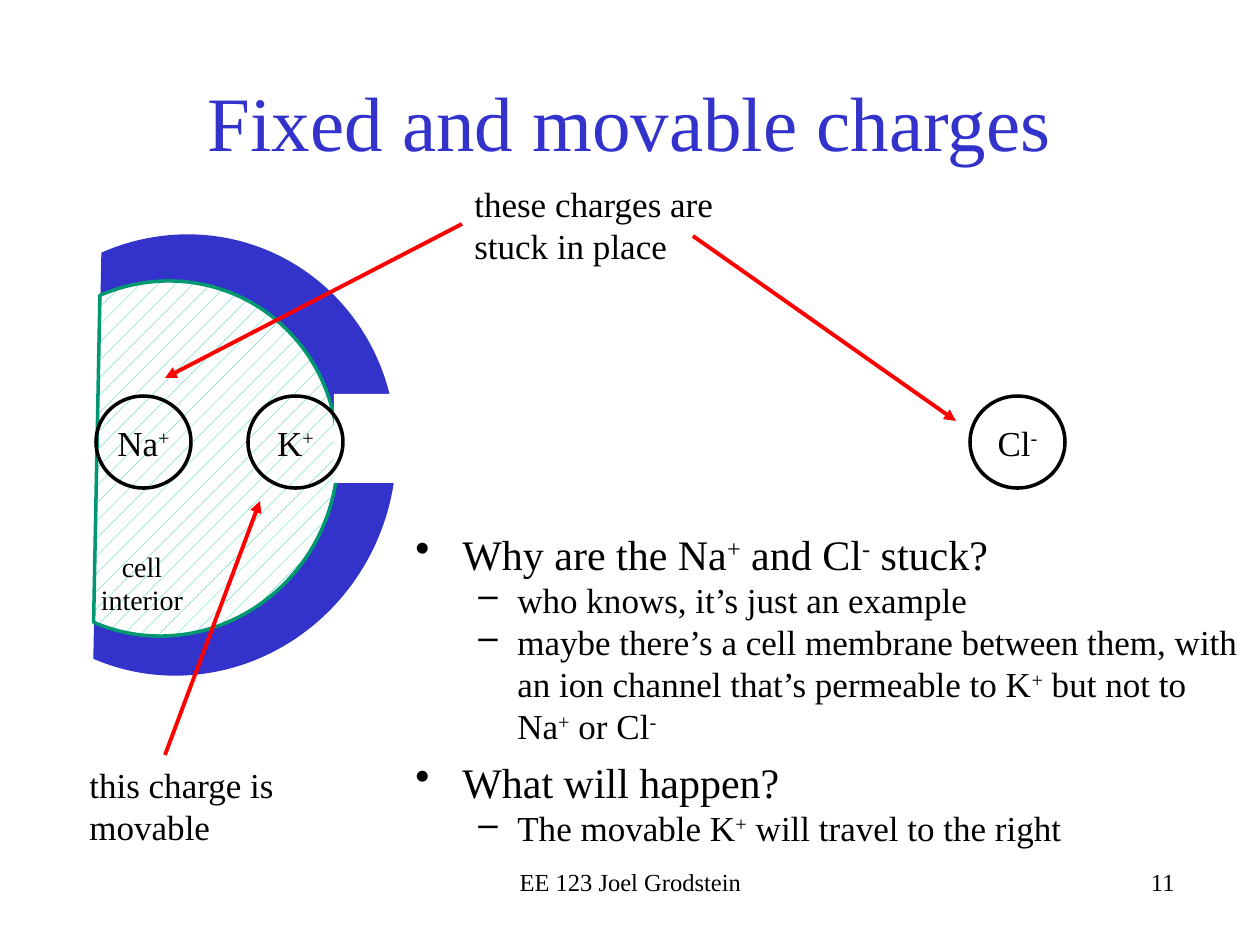
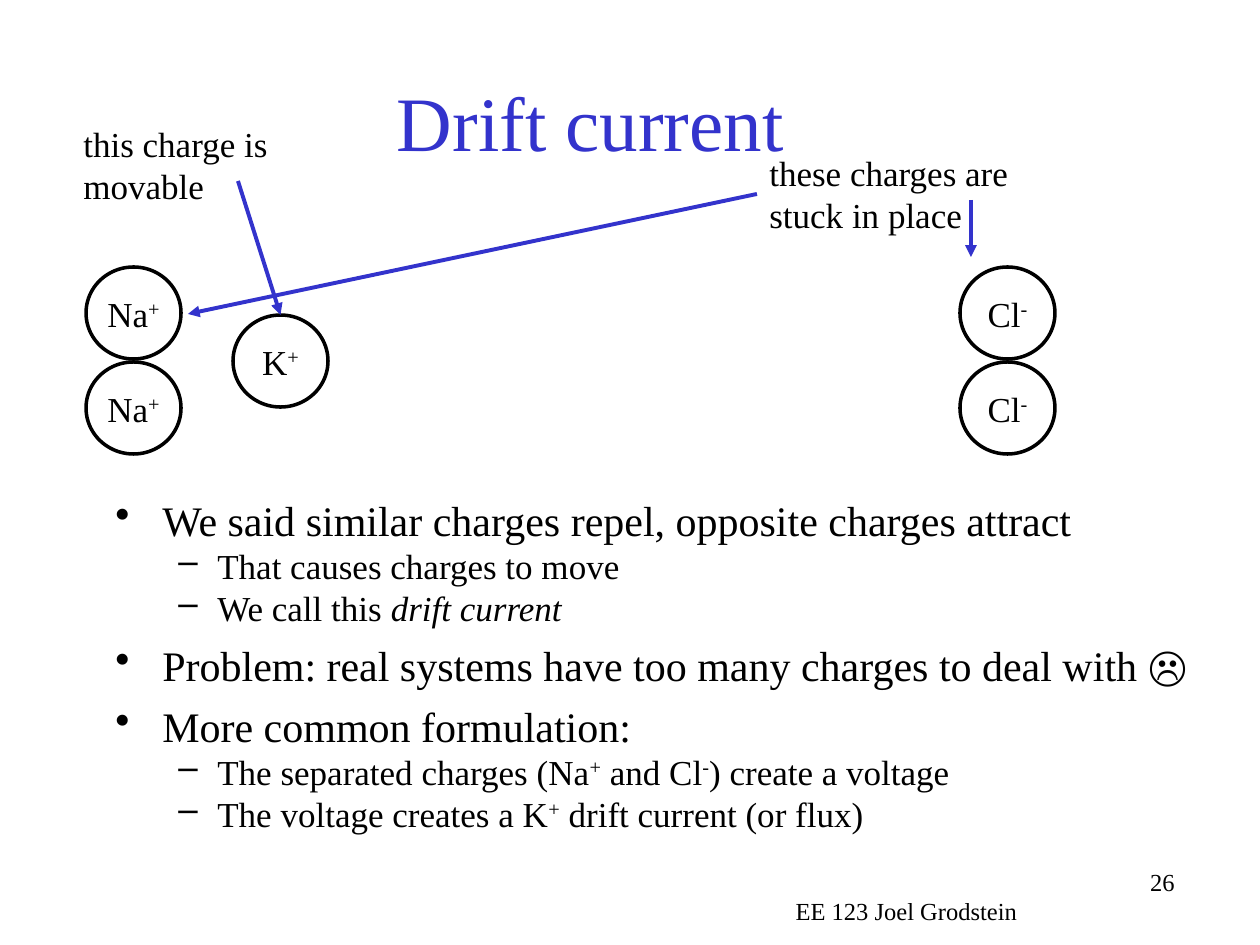
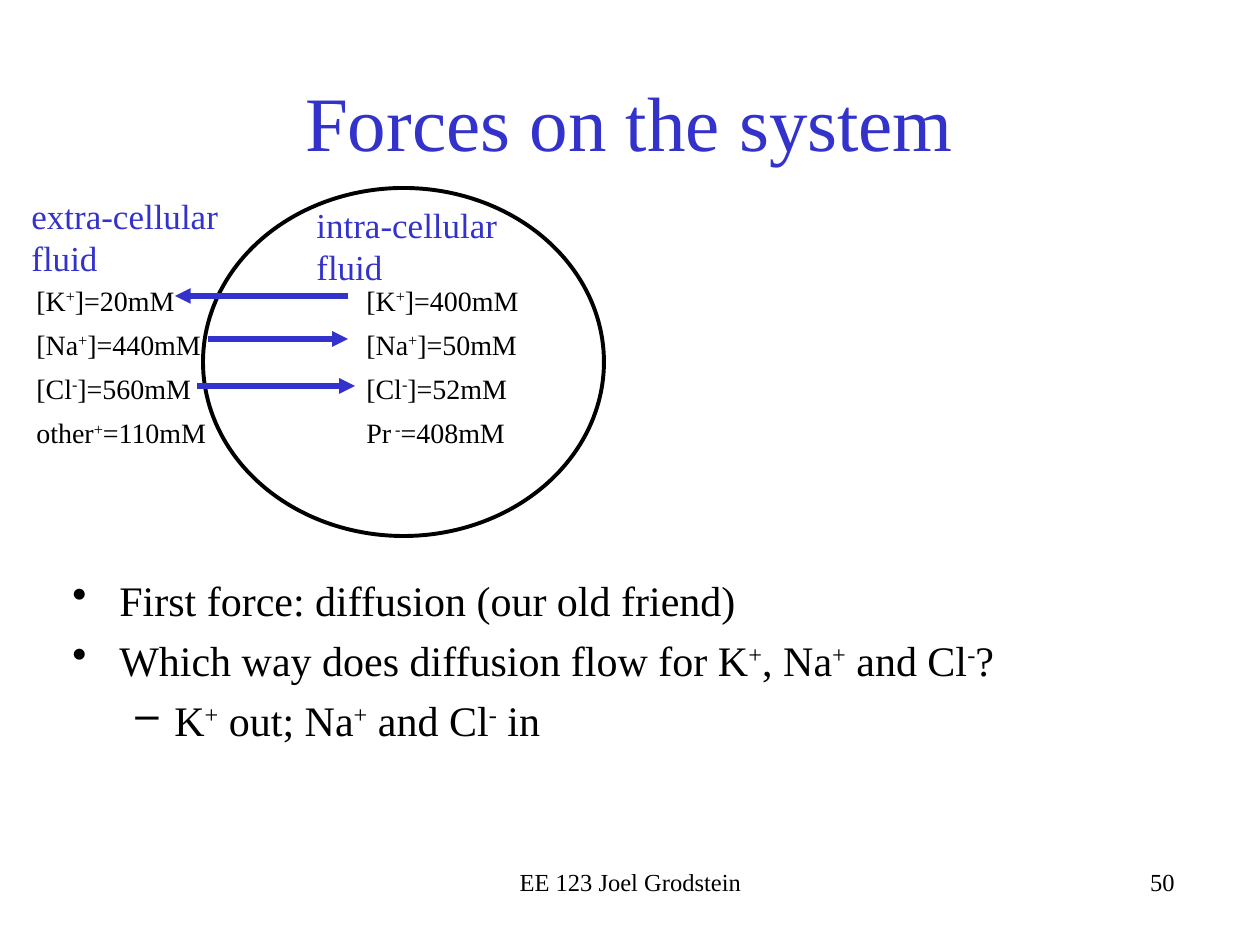
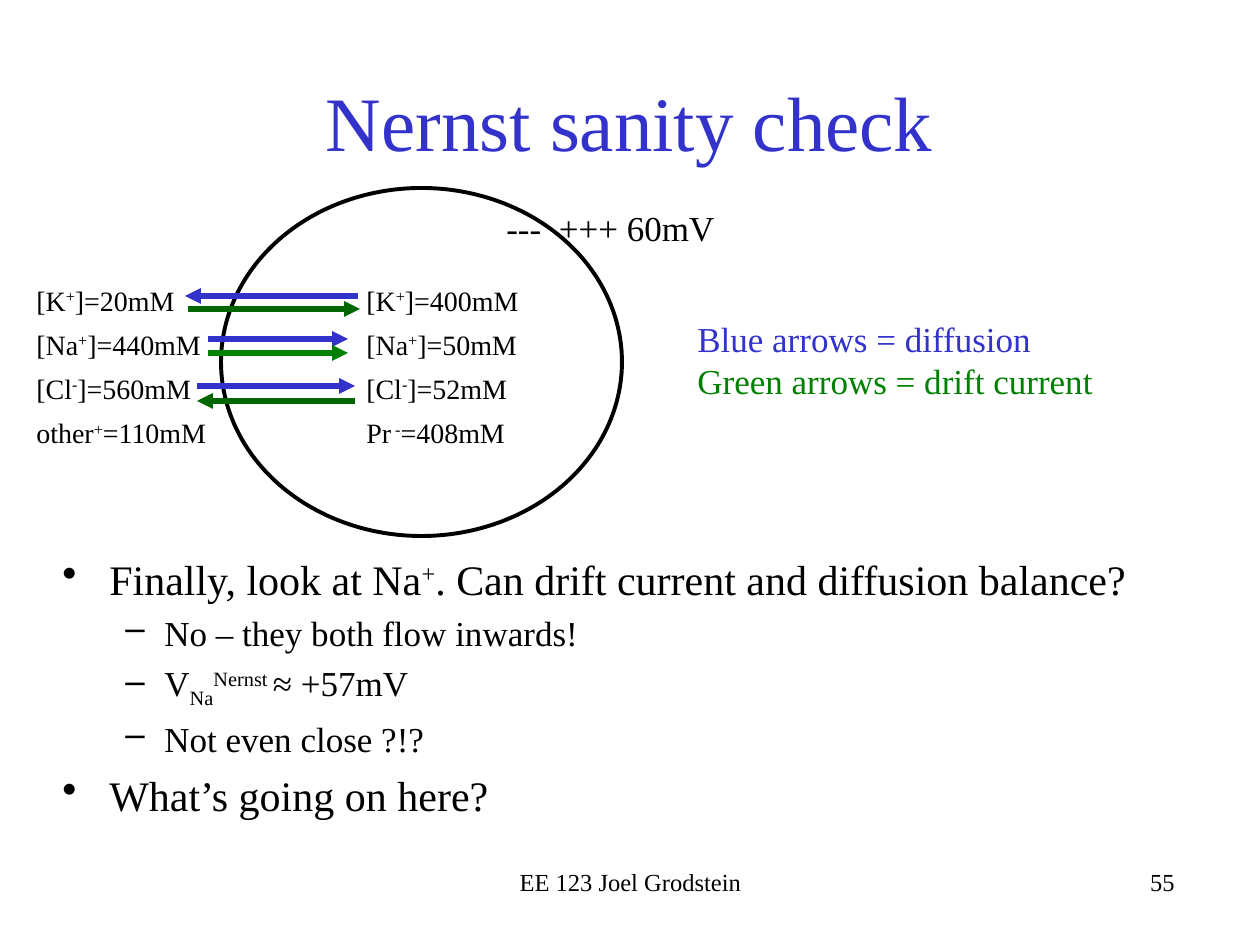
"""Build four lecture slides on ion charges, drift current and the Nernst potential."""
from itertools import cycle

from pptx import Presentation
from pptx import util as u
from pptx.dml.color import RGBColor
from pptx.enum import dml, shapes, text
from pptx.oxml.ns import qn

PX = 7257
FONT = "Times New Roman"
BLACK, BLUE, RED, WHITE = "000000", "3333CC", "FF0000", "FFFFFF"
TEAL, MINT, GREEN, DARK_GREEN = "009771", "00CC99", "008000", "006600"
LEFT, CENTER, RIGHT = text.PP_ALIGN.LEFT, text.PP_ALIGN.CENTER, text.PP_ALIGN.RIGHT
ION_WIDTH, ION_HEIGHT = 95, 92
STYLES = {"^": 30000, "_": -25000}
BULLETS = [("•", 47, 47), ("–", 102, 39)]
color = RGBColor.from_string


def px(*lengths):
    return [u.Emu(length * PX) for length in lengths]


def write(shape, lines, size, colors=(BLACK,), align=LEFT, before=0):
    frame = shape.text_frame
    frame.word_wrap = True
    for index, (line, line_color) in enumerate(zip(lines, cycle(colors))):
        paragraph = frame.add_paragraph() if index else frame.paragraphs[0]
        paragraph.alignment = align
        paragraph.space_before = u.Pt(before)
        for piece in line.split("|"):
            mark = piece[0] if piece[0] in "^_/" else ""
            run = paragraph.add_run()
            run.text = piece[len(mark):]
            run.font.name = FONT
            run.font.size = u.Pt(size)
            run.font.color.rgb = color(line_color)
            if mark == "/":
                run.font.italic = True
            elif mark:
                run.font._element.set("baseline", str(STYLES[mark]))
    return frame.paragraphs


STUCK = ["these charges are stuck in place"]
MOVABLE = ["this charge is movable"]
CONCENTRATIONS = [
    ((354, 277, 213, 180), ["[K|^+|]=400mM", "[Na|^+|]=50mM", "[Cl|^-|]=52mM", "Pr|^ -|=408mM"],
     16, [BLACK], LEFT, 6),
    ((24, 277, 204, 180), ["[K|^+|]=20mM", "[Na|^+|]=440mM", "[Cl|^-|]=560mM", "other|^+|=110mM"],
     16, [BLACK], LEFT, 6),
]
DIFFUSION_IN = [(208, 339, 348, 339, BLUE, 3), (197, 386, 355, 386, BLUE, 3)]

SLIDES = [
    dict(
        title="Fixed and movable charges", number="11",
        body_box=(403, 522, 856, 285),
        body=[
            (0, 24, 5.5, "Why are the Na|^+| and Cl|^-| stuck?"),
            (1, 20, 0, "who knows, it’s just an example"),
            (1, 20, 0, "maybe there’s a cell membrane between them, with an ion channel "
                       "that’s permeable to K|^+| but not to Na|^+| or Cl|^-"),
            (0, 24, 5.5, "What will happen?"),
            (1, 20, 0, "The movable K|^+| will travel to the right"),
        ],
        membrane=True,
        ions=[("Na|^+", 96, 396), ("Cl|^-", 970, 396), ("K|^+", 248, 396)],
        labels=[
            ((462, 176, 329, 97), STUCK, 20),
            ((77, 757, 231, 97), MOVABLE, 20),
            ((76, 543, 132, 81), ["cell interior"], 16, [BLACK], CENTER),
        ],
        arrows=[(165, 755, 260, 501, RED, 2.25), (693, 236, 956, 421, RED, 2.25),
                (462, 224, 165, 378, RED, 2.25)],
    ),
    dict(
        title="Drift current", number="26", title_left=55, footer_at=(707, 890),
        body_box=(103, 488, 1101, 396),
        body=[
            (0, 24, 5.5, "We said similar charges repel, opposite charges attract"),
            (1, 20, 0, "That causes charges to move"),
            (1, 20, 0, "We call this |/drift current"),
            (0, 24, 6, "Problem: real systems have too many charges to deal with ☹"),
            (0, 24, 6, "More common formulation:"),
            (1, 20, 0, "The separated charges (Na|^+| and Cl|^-|) create a voltage"),
            (1, 20, 0, "The voltage creates a K|^+| drift current (or flux)"),
        ],
        ions=[("Na|^+", 86, 267), ("Cl|^-", 960, 267), ("K|^+", 233, 315),
              ("Na|^+", 86, 362), ("Cl|^-", 960, 362)],
        labels=[((757, 145, 329, 97), STUCK, 20), ((71, 116, 238, 97), MOVABLE, 20)],
        arrows=[(238, 181, 281, 315, BLUE, 2.25), (971, 200, 971, 257, BLUE, 2.25),
                (757, 194, 188, 314, BLUE, 2.25)],
    ),
    dict(
        title="Forces on the system", number="50", cell_left=203,
        body_box=(60, 568, 1162, 247),
        body=[
            (0, 24, 5.5, "First force: diffusion (our old friend)"),
            (0, 24, 5.5, "Which way does diffusion flow for K|^+|, Na|^+| and Cl|^-|?"),
            (1, 24, 5.5, "K|^+| out; Na|^+| and Cl|^-| in"),
        ],
        labels=[
            ((304, 197, 263, 97), ["intra-cellular fluid"], 20, [BLUE]),
            ((19, 188, 226, 97), ["extra-cellular fluid"], 20, [BLUE]),
        ] + CONCENTRATIONS,
        arrows=DIFFUSION_IN + [(348, 296, 175, 296, BLUE, 3)],
    ),
    dict(
        title="Nernst sanity check", number="55", cell_left=221,
        body_box=(50, 547, 1149, 280),
        body=[
            (0, 24, 5.5, "Finally, look at Na|^+|. Can drift current and diffusion balance?"),
            (1, 20, 4.6, "No – they both flow inwards!"),
            (1, 20, 4.6, "V|_Na|^Nernst |≈ +57mV"),
            (1, 20, 4.6, "Not even close ?!?"),
            (0, 24, 5.5, "What’s going on here?"),
        ],
        labels=CONCENTRATIONS + [
            ((685, 311, 466, 97), ["Blue arrows = diffusion", "Green arrows = drift current"],
             20, [BLUE, GREEN]),
            ((494, 200, 240, 56), ["---  +++ 60mV"], 20),
        ],
        arrows=DIFFUSION_IN + [
            (358, 296, 185, 296, BLUE, 3), (188, 309, 360, 309, DARK_GREEN, 3),
            (208, 353, 348, 353, GREEN, 3), (355, 401, 197, 401, DARK_GREEN, 3),
        ],
    ),
]

presentation = Presentation()
presentation.slide_width, presentation.slide_height = u.Inches(10), u.Inches(7.5)

for content in SLIDES:
    slide = presentation.slides.add_slide(presentation.slide_layouts[5])
    title = slide.shapes.title
    title.left, title.top, title.width, title.height = px(content.get("title_left", 94), 42, 1071, 158)
    title.text_frame.vertical_anchor = text.MSO_ANCHOR.MIDDLE
    write(title, [content["title"]], 44, [BLUE], CENTER)

    if content.get("membrane"):
        membrane = slide.shapes.add_shape(shapes.MSO_SHAPE.CHORD, *px(-32, 233, 427, 444))
        interior = slide.shapes.add_shape(shapes.MSO_SHAPE.CHORD, *px(-8, 280, 345, 357))
        channel = slide.shapes.add_shape(shapes.MSO_SHAPE.RECTANGLE, *px(334, 394, 81, 89))
        membrane.rotation = interior.rotation = 203.4
        for shape, fill in ((membrane, BLUE), (channel, WHITE)):
            shape.shadow.inherit = False
            shape.fill.solid()
            shape.fill.fore_color.rgb = color(fill)
            shape.line.fill.background()
        interior.shadow.inherit = False
        interior.fill.patterned()
        interior.fill.pattern = dml.MSO_PATTERN.PERCENT_5
        interior.fill.fore_color.rgb = color(MINT)
        interior.fill.back_color.rgb = color(WHITE)
        interior.line.color.rgb = color(TEAL)
        interior.line.width = u.Pt(2)

    body = slide.shapes.add_textbox(*px(*content["body_box"]))
    paragraphs = write(body, [line for *_, line in content["body"]], 24)
    for paragraph, (level, size, before, _) in zip(paragraphs, content["body"]):
        symbol, margin, hanging = BULLETS[level]
        paragraph.level = level
        paragraph.space_before = u.Pt(before)
        for run in paragraph.runs:
            run.font.size = u.Pt(size)
        properties = paragraph._p.get_or_add_pPr()
        properties.set("marL", str(margin * PX))
        properties.set("indent", str(-hanging * PX))
        bullet = properties.makeelement(qn("a:buChar"), {"char": symbol})
        properties.append(bullet)

    footer = slide.shapes.add_textbox(*px(*content.get("footer_at", (431, 861)), 399, 43))
    write(footer, ["EE 123 Joel Grodstein"], 14, align=CENTER)
    number = slide.shapes.add_textbox(*px(788, 861, 399, 63))
    write(number, [content["number"]], 14, align=RIGHT)

    if "cell_left" in content:
        cell = slide.shapes.add_shape(shapes.MSO_SHAPE.OVAL, *px(content["cell_left"], 188, 401, 348))
        cell.shadow.inherit = False
        cell.fill.background()
        cell.line.color.rgb = color(BLACK)
        cell.line.width = u.Pt(2.25)

    ion_tops = {}
    for name, left, top in content.get("ions", []):
        ion = slide.shapes.add_shape(shapes.MSO_SHAPE.OVAL, *px(left, top, ION_WIDTH, ION_HEIGHT))
        ion.shadow.inherit = False
        ion.fill.background()
        ion.line.color.rgb = color(BLACK)
        ion.line.width = u.Pt(2)
        frame = ion.text_frame
        frame.margin_left = frame.margin_top = frame.margin_right = frame.margin_bottom = 0
        frame.vertical_anchor = text.MSO_ANCHOR.MIDDLE
        write(ion, [name], 20, align=CENTER)
        ion_tops[left + 48, top] = ion

    for box, *wording in content["labels"]:
        write(slide.shapes.add_textbox(*px(*box)), *wording)

    for *ends, arrow_color, width in content["arrows"]:
        arrow = slide.shapes.add_connector(shapes.MSO_CONNECTOR.STRAIGHT, *px(*ends))
        arrow.line.color.rgb = color(arrow_color)
        arrow.line.width = u.Pt(width)
        properties = arrow._element.spPr
        line = properties.find(qn("a:ln"))
        line.append(line.makeelement(qn("a:tailEnd"), {"type": "triangle"}))
        properties.append(properties.makeelement(qn("a:effectLst"), {}))
        if tuple(ends[2:]) in ion_tops:
            arrow.end_connect(ion_tops[tuple(ends[2:])], 0)

presentation.save("out.pptx")
